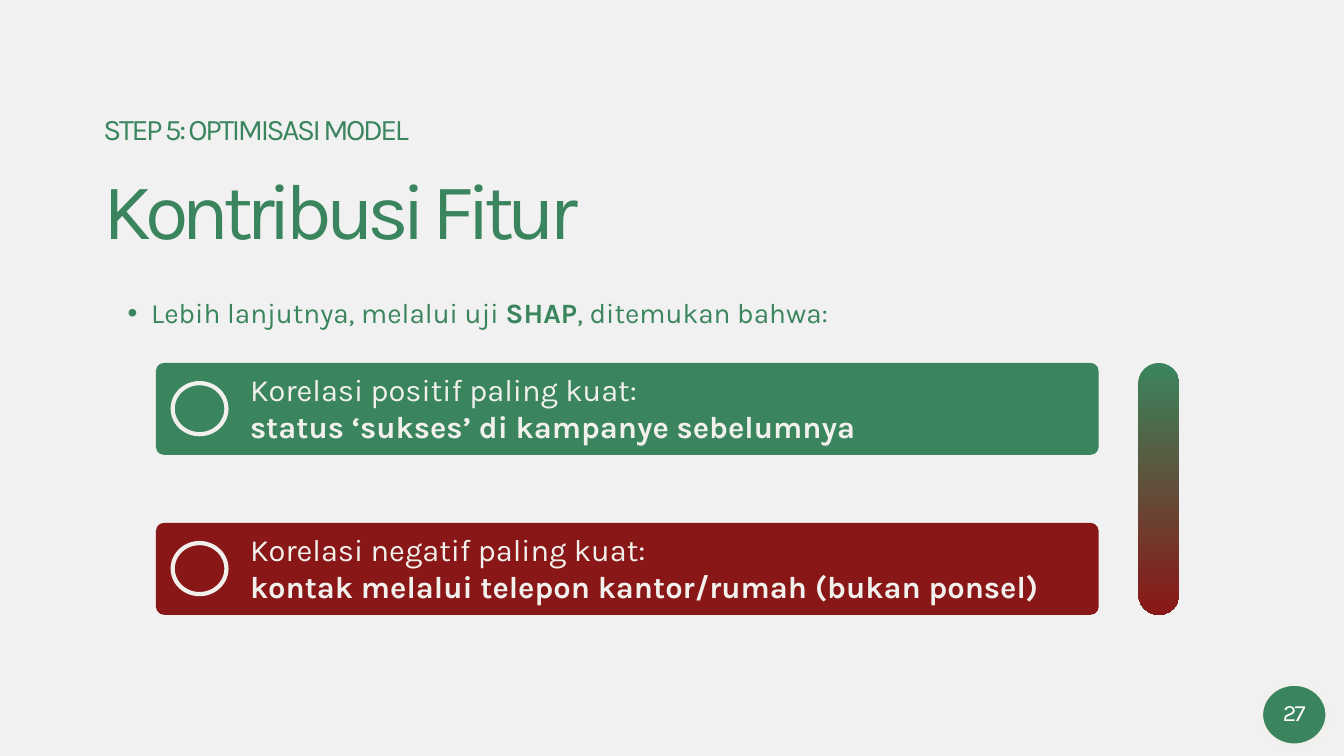
import pptx
import pptx.util
import pptx.dml.color
import pptx.enum.shapes
import pptx.enum.text
import lxml.etree

Pt = pptx.util.Pt
Kind = pptx.enum.shapes.MSO_SHAPE
Anchor = pptx.enum.text.MSO_ANCHOR
Align = pptx.enum.text.PP_ALIGN
CELL = pptx.util.Inches(0.25)
COLS, ROWS = 80, 45
FONT = "Karla"
HUES = {"back": "F1F1F1", "green": "3A855D", "red": "8A1717",
        "cream": "F1F0EC", "white": "FFFFFF"}


def hue(name):
    """Return the named colour."""
    return pptx.dml.color.RGBColor.from_string(HUES[name])


def grid(*cells):
    """Turn grid cells into slide lengths."""
    return [round(cell * CELL) for cell in cells]


def form(slide, kind, box, fill, line=None, width=0):
    """Add a flat preset shape."""
    shape = slide.shapes.add_shape(kind, *grid(*box))
    shape.shadow.inherit = False
    shape.fill.solid()
    shape.fill.fore_color.rgb = hue(fill)
    if line:
        shape.line.color.rgb = hue(line)
        shape.line.width = Pt(width)
    else:
        shape.line.fill.background()
    return shape


def frame(shape, inset, anchor=Anchor.TOP):
    """Set wrapping, insets in cells and anchor of a shape's text."""
    text = shape.text_frame
    text.word_wrap = True
    text.auto_size = pptx.enum.text.MSO_AUTO_SIZE.NONE
    text.vertical_anchor = anchor
    (text.margin_left, text.margin_top,
     text.margin_right, text.margin_bottom) = grid(*inset)
    return text


def style(para, size, color, lead, space=0, align=Align.LEFT):
    """Format a paragraph and its runs."""
    para.alignment = align
    para.line_spacing = Pt(lead)
    for run in para.runs:
        run.font.name = FONT
        run.font.size = Pt(size)
        run.font.color.rgb = hue(color)
        if space:
            run._r.get_or_add_rPr().set("spc", str(round(space * 100)))


def head(slide, box):
    """Place the step label and the title."""
    left, top, wide, _ = box
    step = slide.shapes.add_textbox(*grid(left, top, wide, 1.8))
    text = frame(step, (0, 0, 0, 0))
    text.text = "STEP 5: OPTIMISASI MODEL"
    style(text.paragraphs[0], 32, "green", 30.7, -2.6)
    title = slide.shapes.title
    title.left, title.top, title.width, title.height = grid(left, top + 3.6, wide, 4.8)
    text = frame(title, (0, 0, 0, 0))
    text.text = "Kontribusi Fitur"
    style(text.paragraphs[0], 85, "green", 81.6, -7)


def lead(slide, box):
    """Place the bulleted lead sentence."""
    text = frame(slide.shapes.add_textbox(*grid(*box)), (0, 0, 0, 0))
    para = text.paragraphs[0]
    props = para._p.get_or_add_pPr()
    indent, hang = grid(2.84, -1.4)
    props.set("marL", str(indent))
    props.set("indent", str(hang))
    space = props.nsmap["a"]
    for tag, key, value in (("buFont", "typeface", "Arial"), ("buChar", "char", "•")):
        lxml.etree.SubElement(props, f"{{{space}}}{tag}").set(key, value)
    for words, bold in (("Lebih lanjutnya, melalui uji ", False), ("SHAP", True),
                        (", ditemukan bahwa:", False)):
        run = para.add_run()
        run.text = words
        run.font.bold = bold
    style(para, 30, "green", 45.3)


def card(slide, box, fill, label, fact):
    """Place a rounded card with a ring and two lines of text."""
    left, top, _, high = box
    shape = form(slide, Kind.ROUNDED_RECTANGLE, box, fill)
    shape.adjustments[0] = 0.09
    text = frame(shape, (5.46, 0.04, 0.2, 0.2), Anchor.MIDDLE)
    text.text = f"{label}\n{fact}"
    for para in text.paragraphs:
        style(para, 33, "cream", 39.9)
    text.paragraphs[1].runs[0].font.bold = True
    form(slide, Kind.OVAL, (left + 1, top + 0.22 * high, 3.2, 3.04), fill, "cream", 4.5)


def scale(slide, box):
    """Place the pill that fades from positive to negative."""
    pill = form(slide, Kind.ROUNDED_RECTANGLE, box, "green")
    pill.adjustments[0] = 0.5
    pill.fill.gradient()
    pill.fill.gradient_angle = 270
    for stop, name in zip(pill.fill.gradient_stops, ("green", "red")):
        stop.color.rgb = hue(name)


def badge(slide, box):
    """Place the page number in its disc."""
    disc = form(slide, Kind.OVAL, box, "green", "cream", 3.75)
    text = frame(disc, (0, 0.36, 0, 0), Anchor.MIDDLE)
    text.text = "27"
    style(text.paragraphs[0], 25, "white", 19.2, -2, Align.CENTER)


def main():
    """Build and save the slide."""
    deck = pptx.Presentation()
    deck.slide_width, deck.slide_height = grid(COLS, ROWS)
    slide = deck.slides.add_slide(deck.slide_layouts[5])
    slide.background.fill.solid()
    slide.background.fill.fore_color.rgb = hue("back")
    left, top, high, pitch = 9.28, 21.6, 5.48, 9.52
    cards = (
        ("green", "Korelasi positif paling kuat:",
         "status ‘sukses’ di kampanye sebelumnya"),
        ("red", "Korelasi negatif paling kuat:",
         "kontak melalui telepon kantor/rumah (bukan ponsel)"))
    for row, parts in enumerate(cards):
        card(slide, (left, top + row * pitch, 56.12, high), *parts)
    scale(slide, (67.76, top, 2.44, pitch + high))
    head(slide, (6.16, 7.04, 46, 8.4))
    lead(slide, (6.16, 17.08, 62.76, 2.44))
    badge(slide, (75.08, 40.72, 3.92, 3.64))
    deck.save("out.pptx")


if __name__ == "__main__":
    main()
